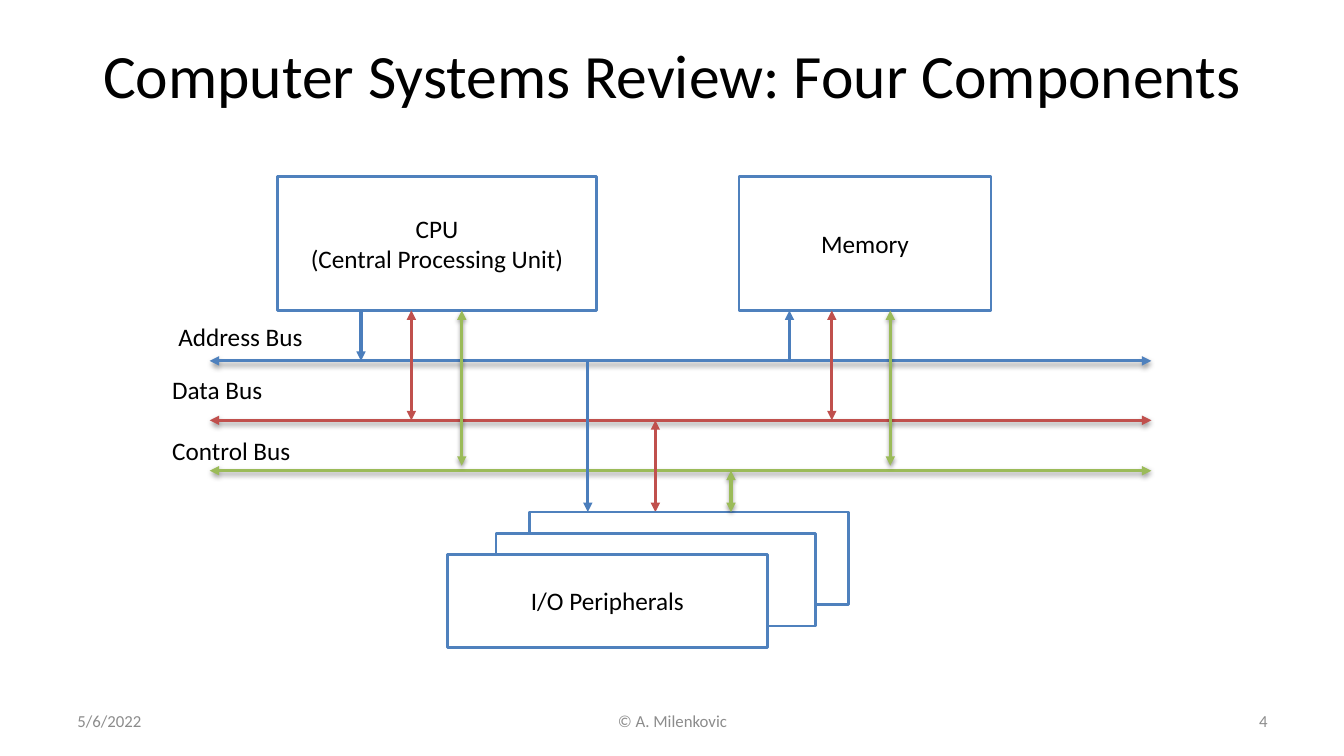
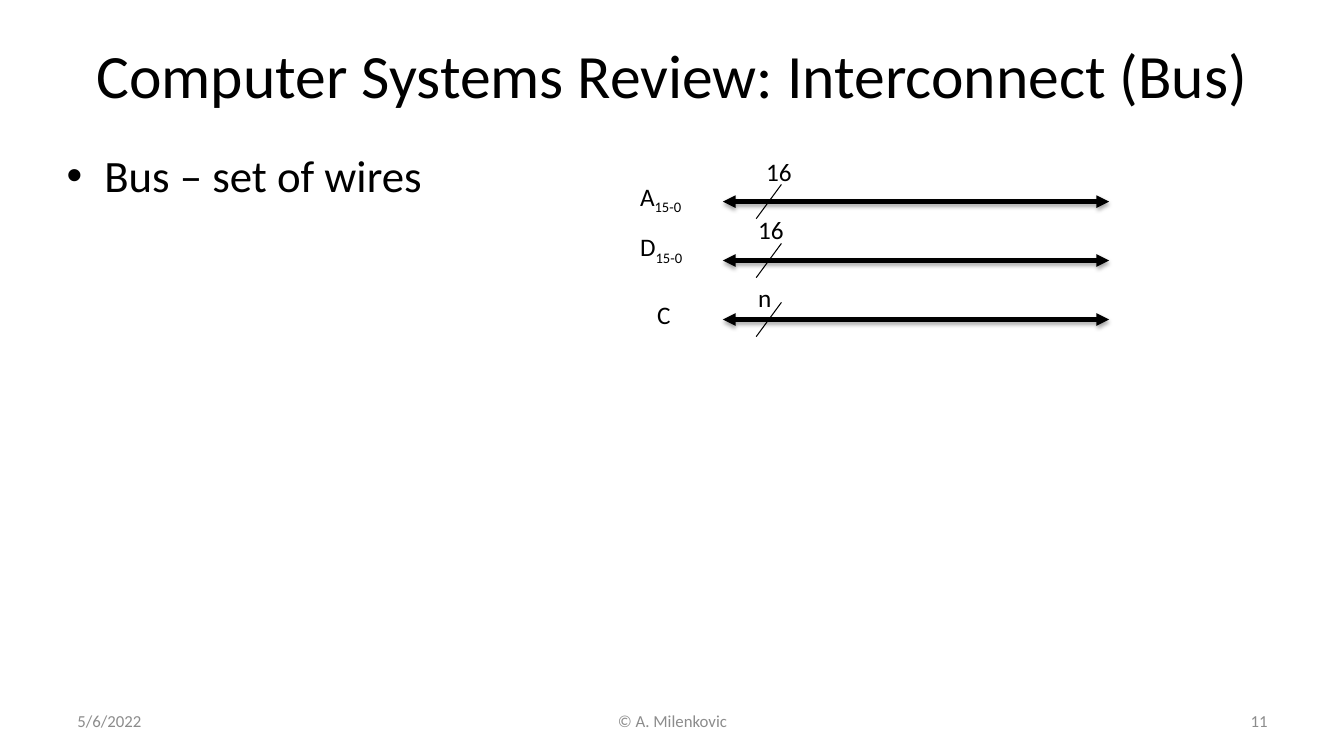
from lxml.etree import SubElement
from pptx import Presentation
from pptx.dml.color import RGBColor
from pptx.enum.shapes import MSO_CONNECTOR, MSO_SHAPE
from pptx.enum.text import MSO_ANCHOR, MSO_AUTO_SIZE, PP_ALIGN
from pptx.oxml.ns import qn
from pptx.util import Inches, Pt

FONT = "Calibri"
BLACK, WHITE, GRAY = "000000", "FFFFFF", "8C8C8C"
BLUE, DEEP, RED, GREEN = "4F81BD", "4B7EBC", "C0504D", "9BBB59"
BOTH, END, NONE = ("headEnd", "tailEnd"), ("tailEnd",), ()


def paint(target, color):
    """Set a font or line colour, or a solid fill, from a hex string."""
    if hasattr(target, "solid"):
        target.solid()
        target = target.fore_color
    else:
        target = target.color
    target.rgb = RGBColor.from_string(color)


def style(frame, size, color=BLACK, align=None):
    """Format every run in a text frame."""
    for para in frame.paragraphs:
        if align is not None:
            para.alignment = align
        for run in para.runs:
            run.font.name = FONT
            run.font.size = Pt(size)
            paint(run.font, color)


def place(shape, left, top, width, height):
    """Move and size a shape, in inches."""
    shape.left, shape.top = Inches(left), Inches(top)
    shape.width, shape.height = Inches(width), Inches(height)


def add_text(slide, text, left, top, width, height=0.4, wrap=True):
    """Add a text box and return its frame."""
    area = map(Inches, (left, top, width, height))
    frame = slide.shapes.add_textbox(*area).text_frame
    frame.text = text
    frame.word_wrap = wrap
    return frame


def add_label(slide, text, left, top, width, sub="", wrap=True):
    """Add an 18 point label with an optional subscript."""
    frame = add_text(slide, text, left, top, width, wrap=wrap)
    frame.auto_size = MSO_AUTO_SIZE.SHAPE_TO_FIT_TEXT
    if sub:
        run = frame.paragraphs[0].add_run()
        run.text = sub
        run.font._element.set("baseline", "-25000")
    style(frame, 18)


def add_box(slide, text, left, top, width, height):
    """Add a white box with a blue outline and centred text."""
    area = map(Inches, (left, top, width, height))
    box = slide.shapes.add_shape(MSO_SHAPE.RECTANGLE, *area)
    box.shadow.inherit = False
    paint(box.fill, WHITE)
    paint(box.line, BLUE)
    box.line.width = Pt(2)
    frame = box.text_frame
    frame.text = text
    frame.word_wrap = True
    frame.vertical_anchor = MSO_ANCHOR.MIDDLE
    style(frame, 18, align=PP_ALIGN.CENTER)


def add_line(slide, start, end, color, width=2.25, ends=BOTH, shade=None):
    """Add a line with arrowheads; shade is shadow (opacity %, distance pt)."""
    points = map(Inches, (*start, *end))
    line = slide.shapes.add_connector(MSO_CONNECTOR.STRAIGHT, *points)
    paint(line.line, color)
    line.line.width = Pt(width)
    props = line._element.spPr
    for tag in ends:
        SubElement(props.find(qn("a:ln")), qn("a:" + tag), type="triangle")
    effects = SubElement(props, qn("a:effectLst"))
    if shade:
        alpha, gap = shade
        outer = SubElement(effects, qn("a:outerShdw"), blurRad=str(Pt(3.1)),
                           dist=str(Pt(gap)), dir="5400000", rotWithShape="0")
        tint = SubElement(outer, qn("a:srgbClr"), val=BLACK)
        SubElement(tint, qn("a:alpha"), val=str(alpha * 1000))


def add_slide(deck, layout, title, number):
    """Add a slide with its title and footer."""
    slide = deck.slides.add_slide(deck.slide_layouts[layout])
    head = slide.shapes.title
    place(head, 0.67, 0.3, 12, 0.87)
    head.text_frame.text = title
    head.text_frame.vertical_anchor = MSO_ANCHOR.MIDDLE
    style(head.text_frame, 44, align=PP_ALIGN.CENTER)
    for text, left, width, align in (
            ("5/6/2022", 0.67, 3.11, PP_ALIGN.LEFT),
            ("© A. Milenkovic", 4.56, 4.22, PP_ALIGN.CENTER),
            (str(number), 9.56, 3.11, PP_ALIGN.RIGHT)):
        frame = add_text(slide, text, left, 6.95, width)
        frame.vertical_anchor = MSO_ANCHOR.MIDDLE
        style(frame, 12, GRAY, align)
    return slide


def add_parts(deck):
    """Build the diagram of the four components."""
    slide = add_slide(deck, 5, "Computer Systems Review: Four Components", 4)
    base, addr, data, ctrl, port = 3.08, 3.58, 4.17, 4.67, 5.08
    soft = (38, 1.6)
    add_box(slide, "CPU\v(Central Processing Unit)", 2.75, 1.75, 3.17, 1.33)
    add_box(slide, "Memory", 7.33, 1.75, 2.5, 1.33)
    for y, color in ((addr, BLUE), (ctrl, GREEN), (data, RED)):
        add_line(slide, (2.08, y), (11.42, y), color, shade=soft)
    for text, left, top in (("Address Bus", 1.67, 3.14),
                            ("Data Bus", 1.61, 3.66),
                            ("Control Bus", 1.61, 4.27)):
        add_label(slide, text, left, top, 1.67)
    for x, top, end in ((3.58, base, addr), (5.83, addr, port),
                        (7.83, addr, base)):
        add_line(slide, (x, top), (x, end), DEEP, ends=END)
    for x, top, end in ((4.08, base, data), (8.25, base, data),
                        (6.5, data, port)):
        add_line(slide, (x, top), (x, end), RED)
    for i, (text, left) in enumerate((("", 5.25), ("", 4.92),
                                      ("I/O Peripherals", 4.44))):
        add_box(slide, text, left, port + 0.21 * i, 3.17, 0.92)
    for x, top, end in ((4.58, 4.62, base), (8.83, 4.62, base),
                        (7.25, port, ctrl)):
        add_line(slide, (x, top), (x, end), GREEN, shade=soft)


def add_bus(deck):
    """Build the slide on bus wires."""
    slide = add_slide(deck, 1, "Computer Systems Review: Interconnect (Bus)",
                      11)
    body = slide.placeholders[1]
    place(body, 0.56, 1.42, 12, 4.95)
    body.text_frame.text = "Bus – set of wires"
    style(body.text_frame, 32)
    wires = (("A", "15-0", 6.25, 1.75, 0.66, "16", 7.5, 1.5, 0.46),
             ("D", "15-0", 6.25, 2.25, 0.67, "16", 7.42, 2.08, 0.46),
             ("C", "", 6.42, 2.92, 0.34, "n", 7.42, 2.75, 0.34))
    for i, (name, sub, left, top, wide, size, x, y, span) in enumerate(wires):
        mid = 2 + 0.585 * i
        add_line(slide, (7.17, mid), (11, mid), BLACK, 3, shade=(35, 1.8))
        add_line(slide, (7.5, mid + 0.17), (7.75, mid - 0.17), BLACK, 0.75,
                 NONE)
        add_label(slide, name, left, top, wide, sub, wrap=False)
        add_label(slide, size, x, y, span, wrap=False)


def main():
    """Build and save the deck."""
    deck = Presentation()
    deck.slide_width, deck.slide_height = Inches(13.33), Inches(7.5)
    add_parts(deck)
    add_bus(deck)
    deck.save("out.pptx")


main()
